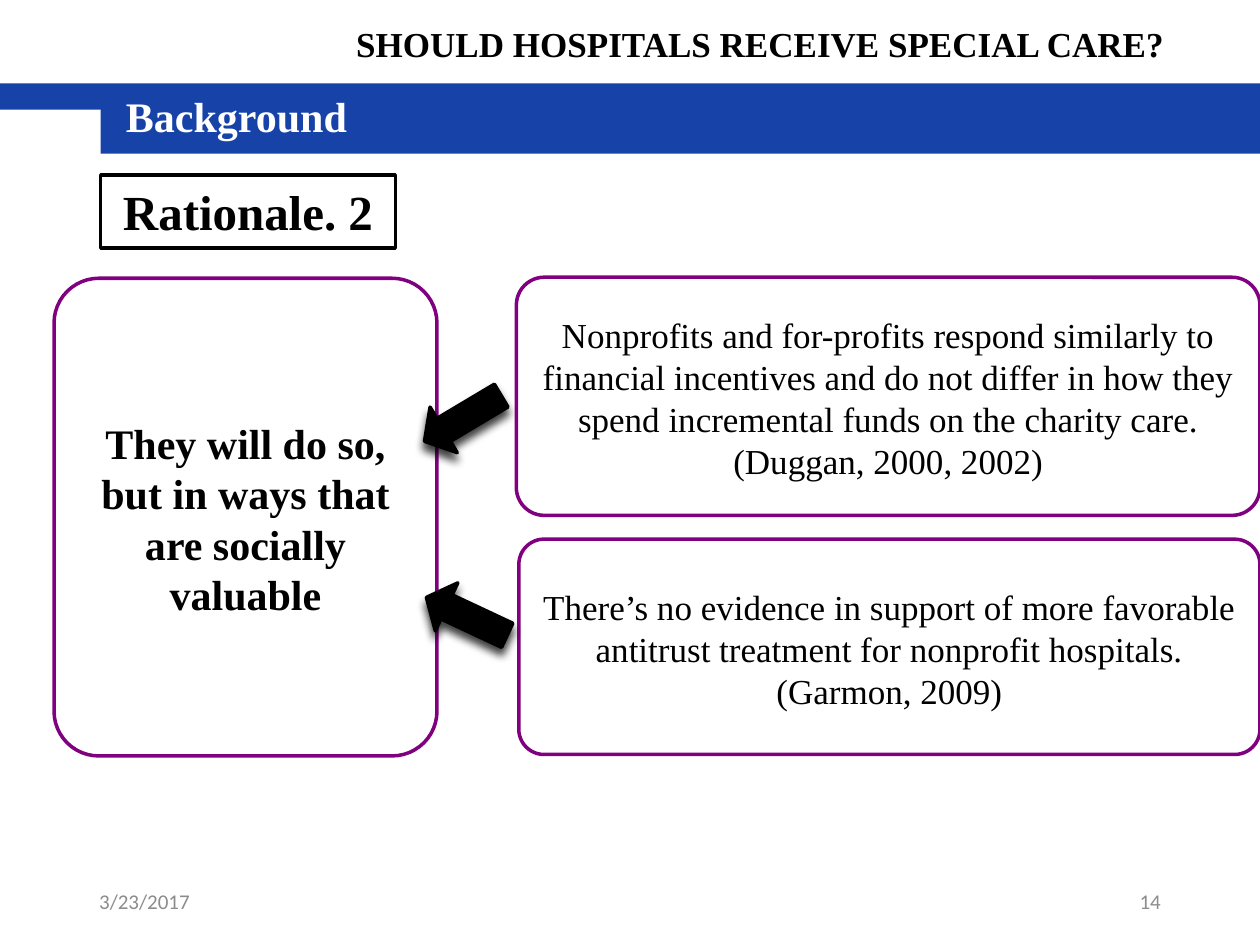
from dataclasses import dataclass
from typing import Any, NamedTuple, Optional

from lxml.etree import SubElement
from pptx import Presentation
from pptx.dml.color import RGBColor
from pptx.enum.shapes import MSO_SHAPE
from pptx.enum.text import MSO_ANCHOR, PP_ALIGN
from pptx.oxml.ns import qn
from pptx.util import Cm, Pt


@dataclass(frozen=True)
class Theme:
    blue: str = "1743A9"
    purple: str = "800080"
    black: str = "000000"
    white: str = "FFFFFF"
    gray: str = "8C8C8C"
    serif: str = "Times New Roman"
    sans: str = "Calibri"
    footer: int = 12
    body: int = 20
    heading: int = 24
    label: int = 28
    outline: int = 2


THEME = Theme()


class Box(NamedTuple):
    left: float
    top: float
    width: float
    height: float


@dataclass(frozen=True)
class Text:
    words: str
    size: int
    bold: bool = False
    color: str = THEME.black
    font: str = THEME.serif
    align: PP_ALIGN = PP_ALIGN.LEFT
    anchor: MSO_ANCHOR = MSO_ANCHOR.TOP
    inset_top: float = 0.13


@dataclass(frozen=True)
class Panel:
    box: Box
    words: str
    size: int
    bold: bool = False


@dataclass(frozen=True)
class Arrow:
    box: Box
    rotation: float


BARS = [Box(2.03, 2.01, 23.37, 1.09), Box(0, 1.68, 25.4, 0.53)]

PANELS = [
    Panel(Box(1.09, 5.61, 7.72, 9.63),
          "They will do so, but in ways that are socially valuable",
          THEME.heading, True),
    Panel(Box(10.41, 5.59, 14.99, 4.8),
          "Nonprofits and for-profits respond similarly to financial incentives "
          "and do not differ in how they spend incremental funds on the charity "
          "care. (Duggan, 2000, 2002)", THEME.body),
    Panel(Box(10.46, 10.87, 14.94, 4.34),
          "There’s no evidence in support of more favorable antitrust treatment "
          "for nonprofit hospitals. (Garmon, 2009)", THEME.body),
]

ARROWS = [
    Arrow(Box(8.43, 7.9, 1.8, 1.07), 149.2),
    Arrow(Box(8.51, 11.89, 1.8, 1.07), 205.1),
]


def apply(target: Any, values: dict[str, Any]) -> None:
    for name, value in values.items():
        setattr(target, name, value)


def lengths(box: Box) -> list[int]:
    return [Cm(value) for value in box]


def write(shape: Any, text: Text) -> None:
    frame = shape.text_frame
    frame.text = text.words
    apply(frame, {
        "word_wrap": True,
        "vertical_anchor": text.anchor,
        "margin_left": Cm(0.25),
        "margin_right": Cm(0.25),
        "margin_top": Cm(text.inset_top),
        "margin_bottom": Cm(0.13),
    })
    paragraph = frame.paragraphs[0]
    paragraph.alignment = text.align
    font = paragraph.runs[0].font
    apply(font, {"name": text.font, "size": Pt(text.size), "bold": text.bold})
    font.color.rgb = RGBColor.from_string(text.color)


def add_text(slide: Any, box: Box, text: Text) -> None:
    write(slide.shapes.add_textbox(*lengths(box)), text)


def add_shape(slide: Any, kind: MSO_SHAPE, box: Box, fill: str,
              line: Optional[str] = None) -> Any:
    shape = slide.shapes.add_shape(kind, *lengths(box))
    shape.fill.solid()
    shape.fill.fore_color.rgb = RGBColor.from_string(fill)
    if line is None:
        shape.line.fill.background()
    else:
        shape.line.color.rgb = RGBColor.from_string(line)
        shape.line.width = Pt(THEME.outline)
    shape.shadow.inherit = False
    return shape


def add_panel(slide: Any, panel: Panel) -> None:
    shape = add_shape(slide, MSO_SHAPE.ROUNDED_RECTANGLE, panel.box,
                      THEME.white, THEME.purple)
    shape.adjustments[0] = 0.117
    write(shape, Text(panel.words, panel.size, panel.bold,
                      align=PP_ALIGN.CENTER, anchor=MSO_ANCHOR.MIDDLE,
                      inset_top=0.18))


def add_arrow(slide: Any, arrow: Arrow) -> None:
    shape = add_shape(slide, MSO_SHAPE.RIGHT_ARROW, arrow.box,
                      THEME.black, THEME.black)
    shape.adjustments[1] = 0.42
    shape.rotation = arrow.rotation
    effects = shape._element.spPr.find(qn("a:effectLst"))
    shadow = SubElement(effects, qn("a:outerShdw"), {
        "blurRad": str(Pt(5)), "dist": str(Pt(4)),
        "dir": str(90 * 60000), "rotWithShape": "0",
    })
    color = SubElement(shadow, qn("a:srgbClr"), {"val": THEME.black})
    SubElement(color, qn("a:alpha"), {"val": "75000"})


def main() -> None:
    presentation = Presentation()
    apply(presentation, {"slide_width": Cm(25.4), "slide_height": Cm(19.05)})
    slide = presentation.slides.add_slide(presentation.slide_layouts[5])

    title = slide.shapes.title
    title_box = Box(6.93, 0.33, 20.7, 1.12)
    apply(title, dict(zip(Box._fields, lengths(title_box))))
    write(title, Text("SHOULD HOSPITALS RECEIVE SPECIAL CARE?", THEME.body, True))

    for bar in BARS:
        add_shape(slide, MSO_SHAPE.RECTANGLE, bar, THEME.blue)
    add_text(slide, Box(2.29, 1.7, 6.4, 1.27),
             Text("Background", THEME.heading, True, THEME.white))

    for left, words, align in [(1.75, "3/23/2017", PP_ALIGN.LEFT),
                               (17.93, "14", PP_ALIGN.RIGHT)]:
        add_text(slide, Box(left, 17.65, 5.72, 1.02),
                 Text(words, THEME.footer, color=THEME.gray, font=THEME.sans,
                      align=align, anchor=MSO_ANCHOR.MIDDLE))

    for panel in PANELS:
        add_panel(slide, panel)
    for arrow in ARROWS:
        add_arrow(slide, arrow)

    label = add_shape(slide, MSO_SHAPE.RECTANGLE, Box(2.03, 3.53, 5.94, 1.47),
                      THEME.white, THEME.black)
    write(label, Text("Rationale. 2", THEME.label, True, align=PP_ALIGN.CENTER))

    presentation.save("out.pptx")


if __name__ == "__main__":
    main()
